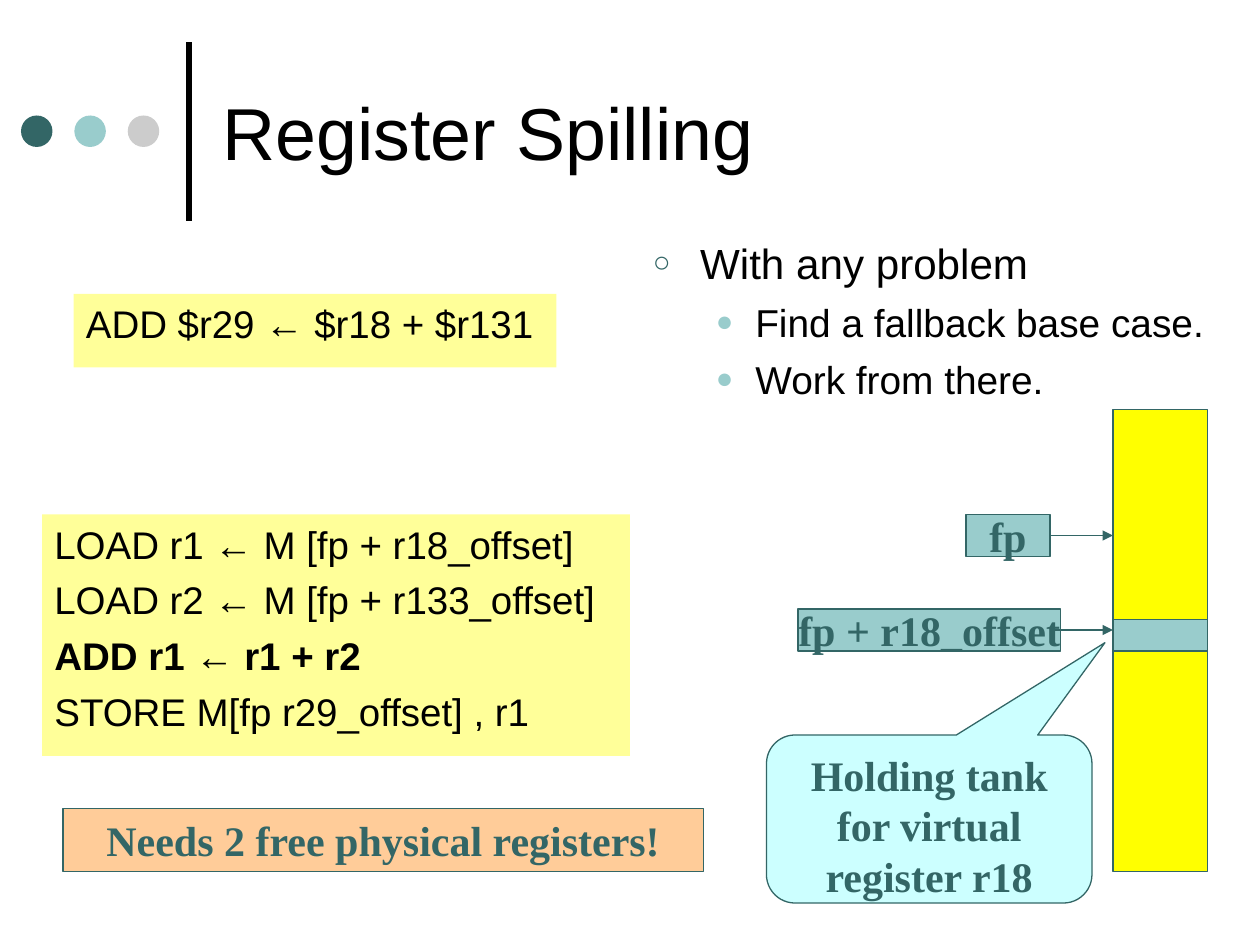
from lxml.etree import SubElement as Sub
from pptx import Presentation
from pptx.dml.color import RGBColor
from pptx.enum.shapes import MSO_CONNECTOR as Conn, MSO_SHAPE as Kind
from pptx.enum.text import MSO_ANCHOR as Anchor, PP_ALIGN as Align
from pptx.oxml.ns import qn
from pptx.util import Pt

TEAL, AQUA, BLACK = "336666", "99CCCC", "000000"
CREAM, YELLOW = "FFFF99", "FFFF00"


def color(code):
    return RGBColor.from_string(code)


def shape(slide, kind, box, fill, line=None):
    item = slide.shapes.add_shape(kind, *map(Pt, box))
    item.shadow.inherit = False
    item.fill.solid()
    item.fill.fore_color.rgb = color(fill)
    if line:
        item.line.color.rgb = color(line)
        item.line.width = Pt(0.75)
    else:
        item.line.fill.background()
    return item


def line(slide, start, end, code, width, arrow=False):
    item = slide.shapes.add_connector(Conn.STRAIGHT, *map(Pt, start + end))
    item.line.color.rgb = color(code)
    item.line.width = Pt(width)
    props = item._element.spPr
    if arrow:
        Sub(props.find(qn("a:ln")), qn("a:tailEnd"), type="triangle")
    Sub(props, qn("a:effectLst"))


def style(para, size, code=BLACK, name="Arial", bold=False):
    font = para.font
    font.size, font.name, font.bold = Pt(size), name, bold
    font.color.rgb = color(code)


def write(item, texts, anchor=Anchor.TOP, wrap=True, align=Align.LEFT):
    """Fill a shape with one paragraph per text and return the paragraphs."""
    frame = item.text_frame
    frame.text = "\n".join(texts)
    frame.word_wrap = wrap
    frame.vertical_anchor = anchor
    for para in frame.paragraphs:
        para.alignment = align
    return frame.paragraphs


def indent(para, left, hang):
    props = para._p.get_or_add_pPr()
    props.set("marL", str(Pt(left)))
    props.set("indent", str(-Pt(hang)))
    return props


def bullet(para, mark, code, scale, left, hang):
    props = indent(para, left, hang)
    tint = Sub(props, qn("a:buClr"))
    Sub(tint, qn("a:srgbClr"), val=code)
    Sub(props, qn("a:buSzPct"), val=str(scale * 1000))
    Sub(props, qn("a:buFont"), typeface="Arial")
    Sub(props, qn("a:buChar"), char=mark)


def code_box(slide, box, texts, bold=None):
    """Draw a cream panel of instructions; bold is the index of the strong one."""
    paras = write(shape(slide, Kind.RECTANGLE, box, CREAM), texts)
    for i, para in enumerate(paras):
        indent(para, 27, 27)
        if i:
            para.space_before = Pt(5.5)
        style(para, 22, bold=i == bold)


def label(slide, box, fill, texts, kind=Kind.RECTANGLE,
          anchor=Anchor.MIDDLE, wrap=False):
    item = shape(slide, kind, box, fill, TEAL)
    for para in write(item, texts, anchor, wrap, Align.CENTER):
        style(para, 24, TEAL, "Times New Roman", True)
    return item


def header(slide):
    line(slide, (108, 126), (108, 24), BLACK, 3)
    for i, fill in enumerate((TEAL, AQUA, "CCCCCC")):
        shape(slide, Kind.OVAL, (12 + 30.5 * i, 66, 18, 18), fill)
    box = slide.shapes.add_textbox(Pt(120), Pt(15), Pt(552), Pt(120))
    style(write(box, ["Register Spilling"], Anchor.MIDDLE)[0], 42)


def points(slide):
    box = slide.shapes.add_textbox(Pt(366), Pt(132), Pt(342), Pt(126))
    head, *subs = write(box, ["With any problem", "Find a fallback base case.",
                              "Work from there."])
    bullet(head, "○", TEAL, 70, 27, 27)
    style(head, 24.1)
    for para in subs:
        para.level = 1
        para.space_before = Pt(6)
        bullet(para, "●", AQUA, 75, 58.5, 22.5)
        style(para, 22.2)


def stack(slide):
    """Draw the memory column with its two pointers and the callout."""
    shape(slide, Kind.RECTANGLE, (636, 234, 54, 264), YELLOW, TEAL)
    for text, left, top, width in (("fp", 552, 294, 48),
                                   ("fp + r18_offset", 456, 348, 150)):
        label(slide, (left, top, width, 24), AQUA, [text])
        line(slide, (600, top + 12), (636, top + 12), TEAL, 0.75, True)
    shape(slide, Kind.RECTANGLE, (636, 354, 54, 18), AQUA, TEAL)
    tank = label(slide, (438, 420, 186, 96), "CCFFFF",
                 ["Holding tank", "for virtual register r18"],
                 Kind.ROUNDED_RECTANGULAR_CALLOUT, Anchor.TOP, True)
    for i, value in enumerate((0.54, -1.05, 0.17)):
        tank.adjustments[i] = value


def main():
    deck = Presentation()
    deck.slide_width, deck.slide_height = Pt(720), Pt(540)
    slide = deck.slides.add_slide(deck.slide_layouts[6])
    header(slide)
    code_box(slide, (42, 168, 276, 42), ["ADD $r29 ← $r18 + $r131"])
    points(slide)
    code_box(slide, (24, 294, 336, 138),
             ["LOAD r1 ← M [fp + r18_offset]", "LOAD r2 ← M [fp + r133_offset]",
              "ADD r1 ← r1 + r2", "STORE M[fp r29_offset] , r1"], bold=2)
    stack(slide)
    label(slide, (36, 462, 366, 36), "FFCC99",
          ["Needs 2 free physical registers!"])
    deck.save("out.pptx")


if __name__ == "__main__":
    main()
